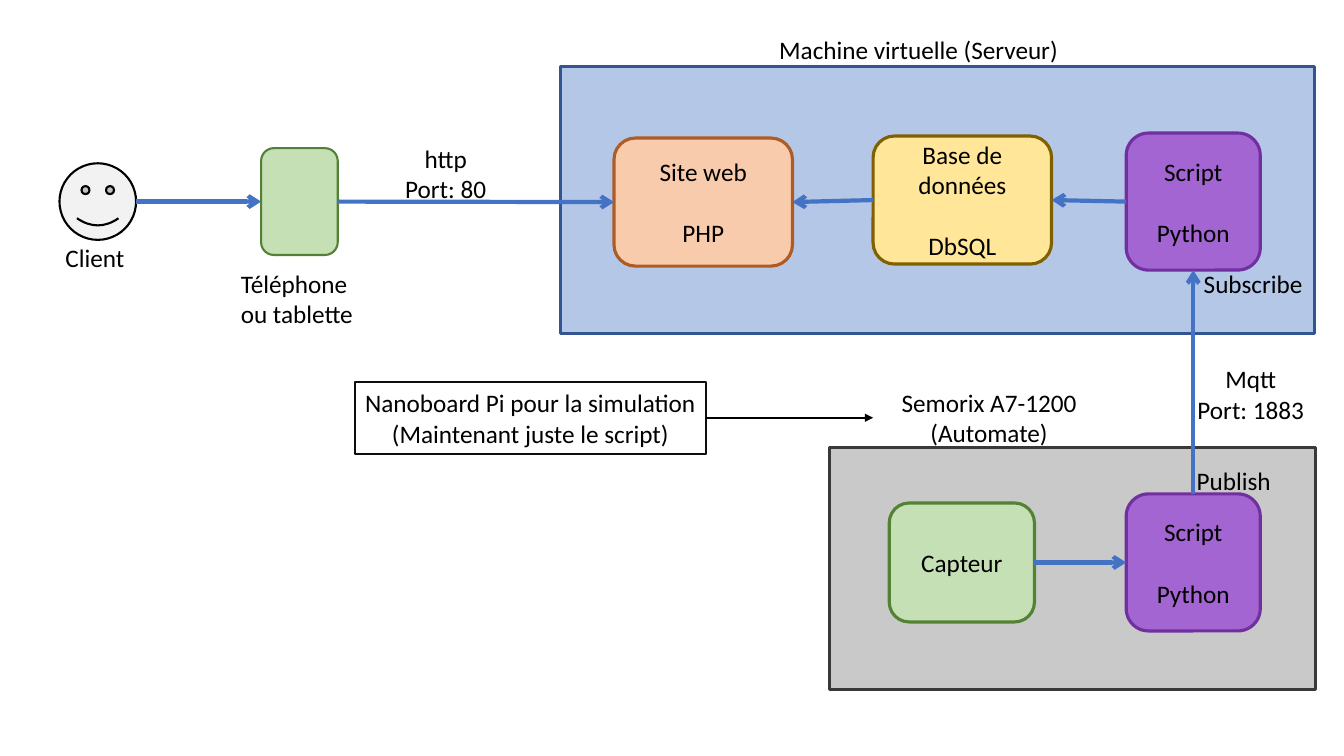
"""Build the slide showing the path of sensor data from controller to client."""
from lxml import etree
from pptx import Presentation, util as u
from pptx.dml import color
from pptx.enum import shapes, text
from pptx.oxml import ns

KIND = shapes.MSO_SHAPE
LEFT, CENTER = text.PP_ALIGN.LEFT, text.PP_ALIGN.CENTER
TOP, MIDDLE = text.MSO_ANCHOR.TOP, text.MSO_ANCHOR.MIDDLE
FONT = {"name": "Calibri", "size": u.Pt(18)}
ROW_GAP = u.Pt(22)


def rgb(value):
    return color.RGBColor.from_string(value)


def write(part, lines, align, gap=0, **frame_format):
    frame = part.text_frame
    for name, value in frame_format.items():
        setattr(frame, name, value)
    for row, line in enumerate(lines):
        paragraph = frame.add_paragraph() if row else frame.paragraphs[0]
        paragraph.alignment = align
        if row and gap:
            paragraph.space_before = gap
        run = paragraph.add_run()
        run.text = line
        for name, value in FONT.items():
            setattr(run.font, name, value)
        run.font.color.rgb = rgb("000000")


deck = Presentation()
deck.slide_width, deck.slide_height = u.Inches(13.33), u.Inches(7.5)
slide = deck.slides.add_slide(deck.slide_layouts[6])

script_text = ["Script", "Python"]
blocks = {
    "controller": (KIND.RECTANGLE, (8.23, 4.44, 4.82, 2.4), "C9C9C9", "3B3838", 2.25, []),
    "client": (KIND.SMILEY_FACE, (0.59, 1.62, 0.76, 0.76), "F2F2F2", "000000", 1.5, []),
    "server": (KIND.RECTANGLE, (5.56, 0.66, 7.48, 2.65), "B4C7E7", "325491", 2.25, []),
    "phone": (KIND.ROUNDED_RECTANGLE, (2.59, 1.47, 0.76, 1.06), "C5E0B4", "538035", 1.5, []),
    "website": (KIND.ROUNDED_RECTANGLE, (6.09, 1.37, 1.77, 1.27), "F8CBAD", "AF5C24", 2.25,
                ["Site web", "PHP"]),
    "database": (KIND.ROUNDED_RECTANGLE, (8.66, 1.35, 1.77, 1.27), "FFE699", "806000", 2.25,
                 ["Base de données", "DbSQL"]),
    "subscriber": (KIND.ROUNDED_RECTANGLE, (11.17, 1.32, 1.33, 1.36), "A365D1", "7030A0", 2.25,
                   script_text),
    "publisher": (KIND.ROUNDED_RECTANGLE, (11.17, 4.9, 1.33, 1.36), "A365D1", "7030A0", 2.25,
                  script_text),
    "sensor": (KIND.ROUNDED_RECTANGLE, (8.82, 4.99, 1.44, 1.18), "C5E0B4", "548235", 2.25,
               ["Capteur"]),
    "simulation": (KIND.RECTANGLE, (3.52, 3.79, 3.48, 0.71), None, "0D0D0D", 1.5,
                   ["Nanoboard Pi pour la simulation (Maintenant juste le script)"]),
}
parts = {}
for name, (kind, place, fill, outline, weight, lines) in blocks.items():
    block = parts[name] = slide.shapes.add_shape(kind, *map(u.Inches, place))
    block.shadow.inherit = False
    if fill:
        block.fill.solid()
        block.fill.fore_color.rgb = rgb(fill)
    else:
        block.fill.background()
    block.line.color.rgb = rgb(outline)
    block.line.width = u.Pt(weight)
    write(block, lines, CENTER, ROW_GAP, word_wrap=True, vertical_anchor=MIDDLE)

labels = {
    "client label": ((0.55, 2.35, 0.92, 0.4), ["Client"], LEFT, True),
    "phone label": ((2.29, 2.61, 1.37, 0.71), ["Téléphone ou tablette"], LEFT, True),
    "server label": ((7.63, 0.29, 3.07, 0.4), ["Machine virtuelle (Serveur)"], LEFT, True),
    "http": ((3.88, 1.37, 1.08, 0.71), ["http", "Port: 80"], CENTER, True),
    "mqtt": ((11.77, 3.56, 1.27, 0.71), ["Mqtt", "Port: 1883"], CENTER, False),
    "publish": ((11.77, 4.57, 0.95, 0.4), ["Publish"], LEFT, False),
    "subscribe": ((11.84, 2.61, 1.19, 0.4), ["Subscribe"], LEFT, False),
    "controller label": ((8.66, 3.79, 2.3, 0.71), ["Semorix A7-1200 (Automate)"], CENTER, True),
}
for name, (place, lines, align, wrap) in labels.items():
    label = parts[name] = slide.shapes.add_textbox(*map(u.Inches, place))
    write(label, lines, align, word_wrap=wrap, vertical_anchor=TOP,
          auto_size=text.MSO_AUTO_SIZE.SHAPE_TO_FIT_TEXT)

top_side, left_side, bottom_side, right_side = range(4)
data_flow = ("4472C4", 3, "arrow")
links = [
    ("client", None, "phone", left_side, data_flow),
    ("phone", right_side, "website", left_side, data_flow),
    ("subscriber", left_side, "database", right_side, data_flow),
    ("database", left_side, "website", right_side, data_flow),
    ("publisher", top_side, "subscriber", bottom_side, data_flow),
    ("sensor", right_side, "publisher", left_side, data_flow),
    ("simulation", right_side, "controller label", left_side, ("000000", 1.5, "triangle")),
]
for source, source_side, target, target_side, (tint, weight, head) in links:
    start = parts[source]
    link = slide.shapes.add_connector(
        shapes.MSO_CONNECTOR.STRAIGHT, start.left + start.width,
        start.top + start.height // 2, 0, 0)
    if source_side is not None:
        link.begin_connect(start, source_side)
    link.end_connect(parts[target], target_side)
    link.line.color.rgb = rgb(tint)
    link.line.width = u.Pt(weight)
    etree.SubElement(link.line._get_or_add_ln(), ns.qn("a:tailEnd"), type=head)
    etree.SubElement(link._element.spPr, ns.qn("a:effectLst"))

deck.save("out.pptx")
